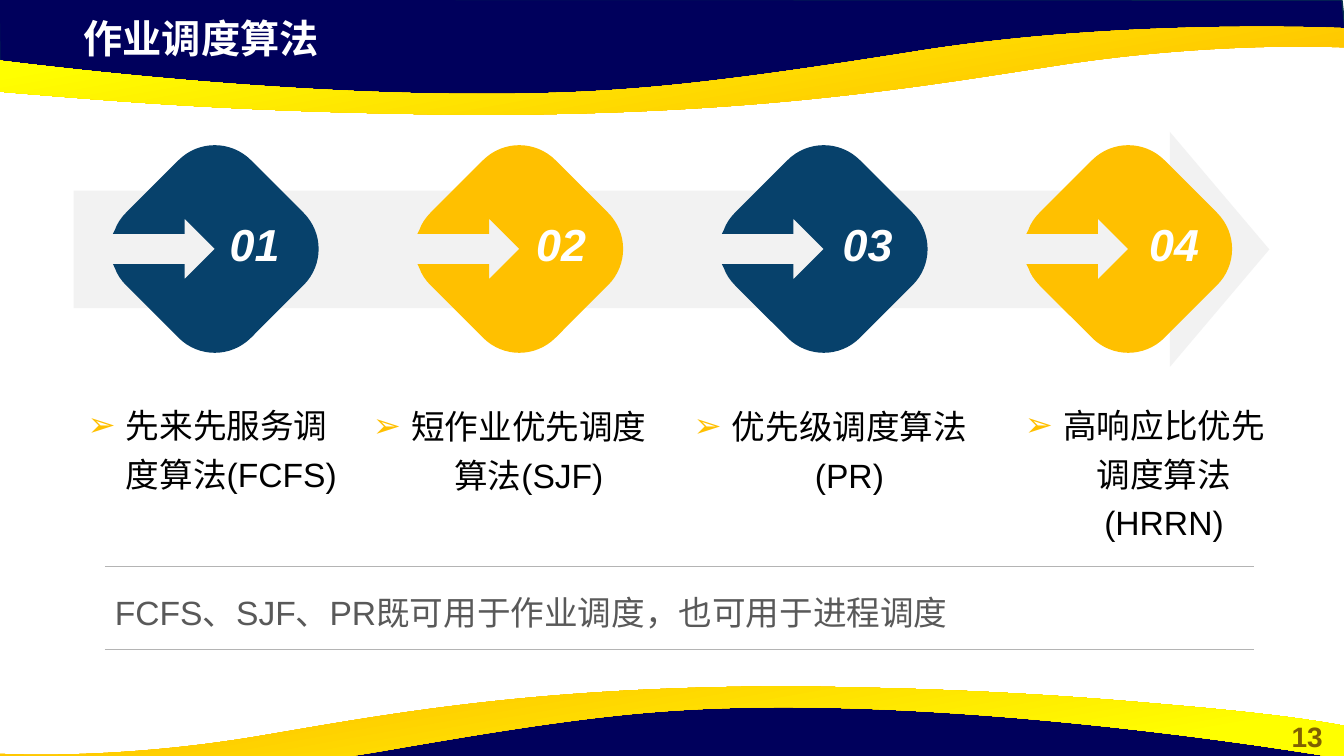
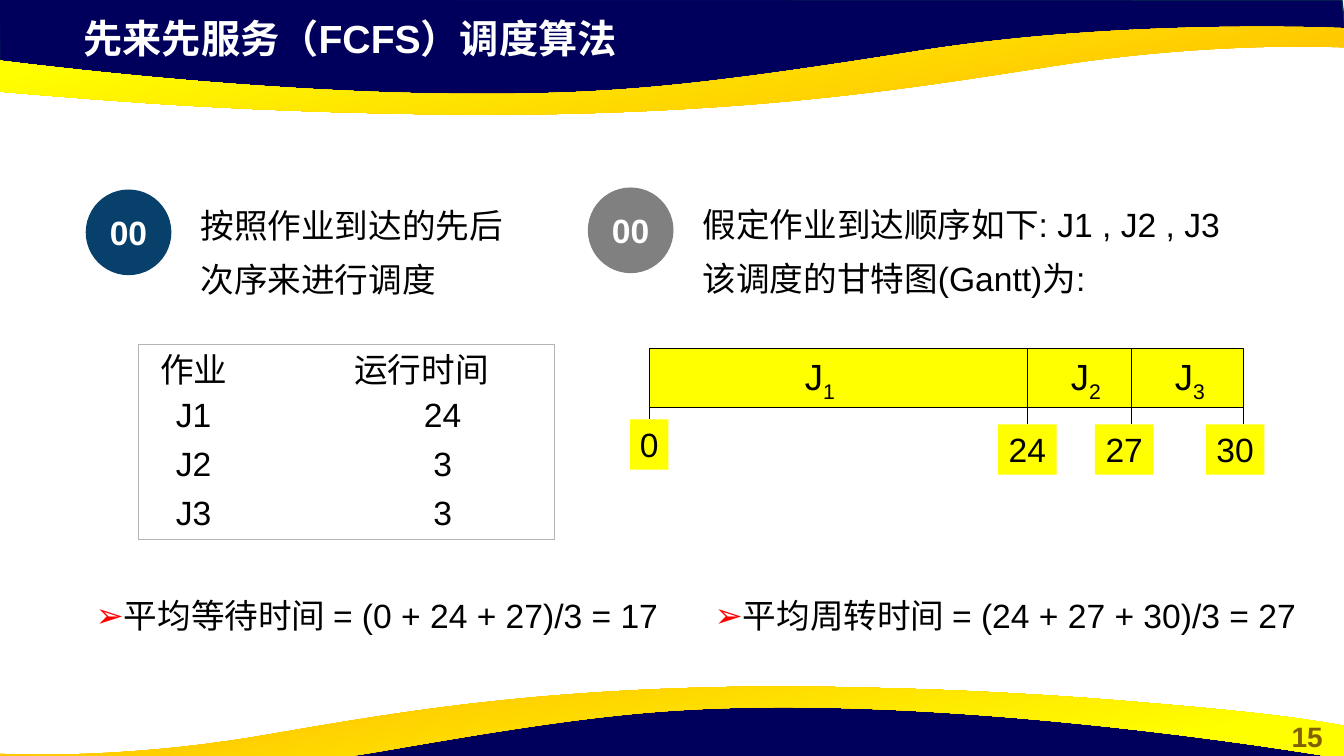
from lxml import etree
from pptx import Presentation, util as u
from pptx.dml import color
from pptx.enum import shapes, text
from pptx.oxml import ns

# Shared colours and font
NAVY = color.RGBColor(0x00, 0x00, 0x5C)
NAVY_EDGE = color.RGBColor(0x05, 0x30, 0x4F)
BLUE = color.RGBColor(0x07, 0x41, 0x6B)
GOLD = color.RGBColor(0xFF, 0xC0, 0x00)
YELLOW = color.RGBColor(0xFF, 0xFF, 0x00)
RED = color.RGBColor(0xFF, 0x00, 0x00)
WHITE = color.RGBColor(0xFF, 0xFF, 0xFF)
BLACK = color.RGBColor(0x00, 0x00, 0x00)
PALE = color.RGBColor(0xF2, 0xF2, 0xF2)
RULE = color.RGBColor(0xB4, 0xB4, 0xB4)
GRAY = color.RGBColor(0x80, 0x80, 0x80)
DARK_GRAY = color.RGBColor(0x59, 0x59, 0x59)
OLIVE = color.RGBColor(0x80, 0x60, 0x00)
FONT = "Arial"
CENTER, LEFT = text.PP_ALIGN.CENTER, text.PP_ALIGN.LEFT
TOP, MIDDLE = text.MSO_ANCHOR.TOP, text.MSO_ANCHOR.MIDDLE
RECTANGLE = shapes.MSO_SHAPE.RECTANGLE

# Outlines: one point is a corner, three points are a Bezier segment
NAVY_BAND = [[(-0.01, -0.01)], [(0, 0.7)], [(2.93, 1.02)], [(5.59, 1)], [(7.95, 0.88)],
             [(10.16, 0.5)], [(12.38, 0.33)], [(13.35, 0.38)], [(13.31, 0)]]
GOLD_BAND = [[(4.83, 1.14)],
             [(4.43, 1.14), (4.01, 1.13), (3.56, 1.12)],
             [(2.06, 1.08), (1.1, 1), (0.36, 0.94)],
             [(-0.88, 0.84), (-1.3, 0.75), (-1.33, 0.75)],
             [(-1.33, 0.42)],
             [(-1.33, 0.42), (2.18, 0.98), (5.17, 0.93)],
             [(6.26, 0.91), (7.08, 0.83), (9.15, 0.5)],
             [(11.21, 0.18), (13.33, 0.28), (13.33, 0.28)],
             [(13.33, 0.47)], [(13.3, 0.47)],
             [(13.05, 0.46), (11.95, 0.43), (10.55, 0.64)],
             [(9.18, 0.85), (7.62, 1.13), (4.83, 1.14)]]
DIAMOND = [[(0, -1.03)],
           [(0.13, -1.03), (0.26, -0.98), (0.36, -0.88)], [(0.88, -0.36)],
           [(1.08, -0.16), (1.08, 0.16), (0.88, 0.36)], [(0.36, 0.88)],
           [(0.16, 1.08), (-0.16, 1.08), (-0.36, 0.88)], [(-0.88, 0.36)],
           [(-0.93, 0.31), (-0.97, 0.25), (-0.99, 0.19)],
           [(-1.01, 0.15)], [(-0.3, 0.15)], [(-0.3, 0.3)], [(0, 0)],
           [(-0.3, -0.3)], [(-0.3, -0.15)], [(-1.01, -0.15)], [(-0.99, -0.19)],
           [(-0.97, -0.25), (-0.93, -0.31), (-0.88, -0.36)], [(-0.36, -0.88)],
           [(-0.26, -0.98), (-0.13, -1.03), (0, -1.03)]]

# Slide 1: caption, box (left, top, width, height), alignment
ALGORITHMS = [
    ("先来先服务调度算法(FCFS)", (0.77, 3.89, 2.77, 1.07), LEFT),
    ("短作业优先调度算法(SJF)", (3.54, 3.9, 3.03, 1.07), CENTER),
    ("优先级调度算法(PR)", (6.74, 3.9, 2.99, 1.07), CENTER),
    ("高响应比优先调度算法(HRRN)", (9.97, 3.89, 2.77, 1.6), CENTER),
]
NOTE = "FCFS、SJF、PR既可用于作业调度，也可用于进程调度"

# Slide 2
POINTS = [
    (["按照作业到达的先后次序来进行调度"], BLUE, (0.85, 1.88), (1.89, 1.86, 3.39, 1.1)),
    (["假定作业到达顺序如下: J1 , J2 , J3", "该调度的甘特图(Gantt)为:"],
     GRAY, (5.83, 1.86), (6.87, 1.85, 5.61, 1.23)),
]
RUN_TIMES = [("作业", "运行时间"), ("J1", "24"), ("J2", "3"), ("J3", "3")]
JOBS = [("1", 7.87), ("2", 10.51), ("3", 11.54)]
# Time, tick x, tick top, label centre, label top, label width
TICKS = [("0", 6.44, 3.97, 6.44, 4.16, 0.38), ("24", 10.19, 3.46, 10.19, 4.21, 0.58),
         ("27", 11.22, 3.46, 11.15, 4.21, 0.58), ("30", 12.33, 3.97, 12.25, 4.21, 0.58)]
AVERAGES = [("平均等待时间 = (0 + 24 + 27)/3 = 17", (0.85, 5.9, 6.02, 0.4)),
            ("平均周转时间 = (24 + 27 + 30)/3 = 27", (6.99, 5.9, 6.35, 0.4))]


def inches(values):
    return [u.Inches(value) for value in values]


def child(parent, tag, **attributes):
    return etree.SubElement(parent, ns.qn(tag), attributes)


# Text
def add_run(paragraph, words, size, ink, bold=False, italic=False):
    run = paragraph.add_run()
    run.text = words
    font = run.font
    font.name, font.size, font.bold, font.italic = FONT, u.Pt(size), bold, italic
    font.color.rgb = ink
    return run


def add_bullet(paragraph, ink, indent):
    properties = paragraph._p.get_or_add_pPr()
    properties.set("marL", str(u.Inches(indent)))
    properties.set("indent", str(-u.Inches(indent)))
    child(child(properties, "a:buClr"), "a:srgbClr", val=str(ink))
    child(properties, "a:buFont", typeface=FONT)
    child(properties, "a:buChar", char="➢")


def write(frame, lines, size, ink, align=LEFT, anchor=TOP, spacing=1.0,
          bullet=None, wrap=True, **style):
    frame.word_wrap = wrap
    frame.vertical_anchor = anchor
    for index, line in enumerate(lines):
        paragraph = frame.add_paragraph() if index else frame.paragraphs[0]
        paragraph.alignment = align
        paragraph.line_spacing = spacing
        if bullet:
            add_bullet(paragraph, *bullet)
        add_run(paragraph, line, size, ink, **style)


def add_text(slide, box, lines, size, ink, **options):
    shape = slide.shapes.add_textbox(*inches(box))
    write(shape.text_frame, lines, size, ink, **options)


# Shapes
def paint(shape, fill, line=None, width=0.75):
    shape.shadow.inherit = False
    if fill is not None:
        shape.fill.solid()
        shape.fill.fore_color.rgb = fill
    if line is None:
        shape.line.fill.background()
    else:
        shape.line.color.rgb = line
        shape.line.width = u.Pt(width)
    return shape


def add_shape(slide, kind, box, fill, line=None):
    return paint(slide.shapes.add_shape(kind, *inches(box)), fill, line)


def add_line(slide, start, end, ink, width):
    line = slide.shapes.add_connector(shapes.MSO_CONNECTOR.STRAIGHT, *inches(start + end))
    line.line.color.rgb = ink
    line.line.width = u.Pt(width)
    child(line._element.spPr, "a:effectLst")
    return line


def add_outline(slide, outline, place):
    points = [inches(place(*point)) for part in outline for point in part]
    builder = slide.shapes.build_freeform(*points[0], scale=1.0)
    builder.add_line_segments(points[1:], close=True)
    shape = builder.convert_to_shape()
    # Join each three control points into one curve
    segments = iter(list(shape.element.iter(ns.qn("a:lnTo"))))
    for part in outline[1:]:
        group = [next(segments) for _ in part]
        if len(group) == 3:
            curve = etree.Element(ns.qn("a:cubicBezTo"))
            group[0].addprevious(curve)
            for segment in group:
                curve.append(segment[0])
                segment.getparent().remove(segment)
    return shape


# Wave bands: the bottom pair is the top pair turned by half a turn
def add_bands(slide, layout):
    def stay(x, y):
        return x, y

    def turn_navy(x, y):
        return 13.33 - x, 7.94 - y

    def turn_gold(x, y):
        return 13.33 - (x + 1.33) * 13.34 / 14.67, 7.95 - y

    bands = []
    for place_navy, place_gold, angle in ((stay, stay, 100), (turn_navy, turn_gold, 280)):
        bands.append(paint(add_outline(slide, NAVY_BAND, place_navy), NAVY, NAVY_EDGE, 1))
        band = paint(add_outline(slide, GOLD_BAND, place_gold), None)
        band.fill.gradient()
        band.fill.gradient_angle = angle
        for stop, ink, position in zip(band.fill.gradient_stops, (GOLD, YELLOW), (0.11, 0.78)):
            stop.color.rgb = ink
            stop.position = position
        bands.append(band)
    for number, band in enumerate(bands, 20):
        band._element.nvSpPr.cNvPr.set("id", str(number))
        layout.shapes.element.append(band.element)


def add_slide(presentation, title, page):
    slide = presentation.slides.add_slide(presentation.slide_layouts[5])
    heading = slide.shapes.title
    heading.left, heading.top, heading.width, heading.height = inches((0.73, 0.09, 7.68, 0.57))
    write(heading.text_frame, [title], 28, WHITE, bold=True)
    heading.text_frame.auto_size = text.MSO_AUTO_SIZE.NONE
    add_text(slide, (12.6, 7.09, 0.73, 0.44), [page], 20, OLIVE, align=CENTER, bold=True)
    return slide


def build_algorithms(slide):
    # Arrow with numbered diamonds
    arrow = add_shape(slide, shapes.MSO_SHAPE.RIGHT_ARROW, (0.73, 1.31, 11.86, 2.33), PALE)
    arrow.adjustments[0], arrow.adjustments[1] = 0.5, 0.423
    for index, (caption, box, align) in enumerate(ALGORITHMS):
        center = 2.13 + 3.02 * index
        diamond = add_outline(slide, DIAMOND, lambda x, y: (center + x, 2.47 + y))
        paint(diamond, GOLD if index % 2 else BLUE)
        add_text(slide, (2.14 + 3.04 * index, 2.05, 0.77, 0.74), [f"{index + 1:02}"], 32,
                 WHITE, align=CENTER, anchor=MIDDLE, bold=True, italic=True)
        add_text(slide, box, [caption], 24, BLACK, align=align, spacing=1.2,
                 bullet=(GOLD, 0.38))
    # Note between two rules
    add_text(slide, (1.04, 5.74, 11.39, 0.73), [NOTE], 24, DARK_GRAY, spacing=1.2)
    for y in (5.62, 6.44):
        add_line(slide, (1.04, y), (12.44, y), RULE, 0.5)


def add_run_times(slide):
    last = len(RUN_TIMES) - 1
    table = slide.shapes.add_table(last + 1, 2, *inches((1.37, 3.42, 4.13, 1.93))).table
    table.first_row = table.horz_banding = False
    table.columns[0].width, table.columns[1].width = inches((1.1, 3.03))
    for row, values in enumerate(RUN_TIMES):
        for column, value in enumerate(values):
            cell = table.cell(row, column)
            cell.margin_top = cell.margin_bottom = cell.margin_right = 0
            cell.margin_left = u.Inches((0.81 if row else 0.39) if column else 0)
            write(cell.text_frame, [value], 24, BLACK, align=CENTER, spacing=0.9)
            cell.vertical_anchor = MIDDLE
            properties = cell._tc.get_or_add_tcPr()
            edges = {"a:lnL": column == 0, "a:lnR": column == 1,
                     "a:lnT": row == 0, "a:lnB": row == last}
            for tag, outer in edges.items():
                edge = child(properties, tag, w=str(u.Pt(0.75)))
                if outer:
                    child(child(edge, "a:solidFill"), "a:srgbClr", val=str(RULE))
                else:
                    child(edge, "a:noFill")
            cell.fill.background()


def add_gantt(slide):
    add_shape(slide, RECTANGLE, (6.44, 3.46, 5.89, 0.58), YELLOW, BLACK)
    for number, left in JOBS:
        label = add_shape(slide, RECTANGLE, (left, 3.49, 0.52, 0.54), YELLOW)
        write(label.text_frame, ["J"], 26, BLACK, align=CENTER, anchor=MIDDLE, wrap=False)
        subscript = add_run(label.text_frame.paragraphs[0], number, 26, BLACK)
        subscript._r.get_or_add_rPr().set("baseline", "-25000")
    for time, x, line_top, center, top, width in TICKS:
        label = add_shape(slide, RECTANGLE, (center - width / 2, top, width, 0.5), YELLOW)
        write(label.text_frame, [time], 24, BLACK, align=CENTER, anchor=MIDDLE, wrap=False)
        tick = add_line(slide, (x, line_top), (x, top), BLACK, 0.75)
        if x == center:
            tick.end_connect(label, 0)


def build_fcfs(slide):
    # Numbered points
    for lines, fill, corner, box in POINTS:
        badge = add_shape(slide, shapes.MSO_SHAPE.OVAL, corner + (0.85, 0.85), fill)
        write(badge.text_frame, ["00"], 24, WHITE, align=CENTER, anchor=MIDDLE, bold=True)
        add_text(slide, box, lines, 24, BLACK, spacing=1.32)
    add_run_times(slide)
    add_gantt(slide)
    # Averages
    for formula, box in AVERAGES:
        add_text(slide, box, [formula], 24, BLACK, spacing=0.9, bullet=(RED, 0.25))


def main():
    presentation = Presentation()
    presentation.slide_width, presentation.slide_height = inches((13.33, 7.5))
    algorithms = add_slide(presentation, "作业调度算法", "13")
    add_bands(algorithms, algorithms.slide_layout)
    build_algorithms(algorithms)
    build_fcfs(add_slide(presentation, "先来先服务（FCFS）调度算法", "15"))
    presentation.save("out.pptx")


if __name__ == "__main__":
    main()
